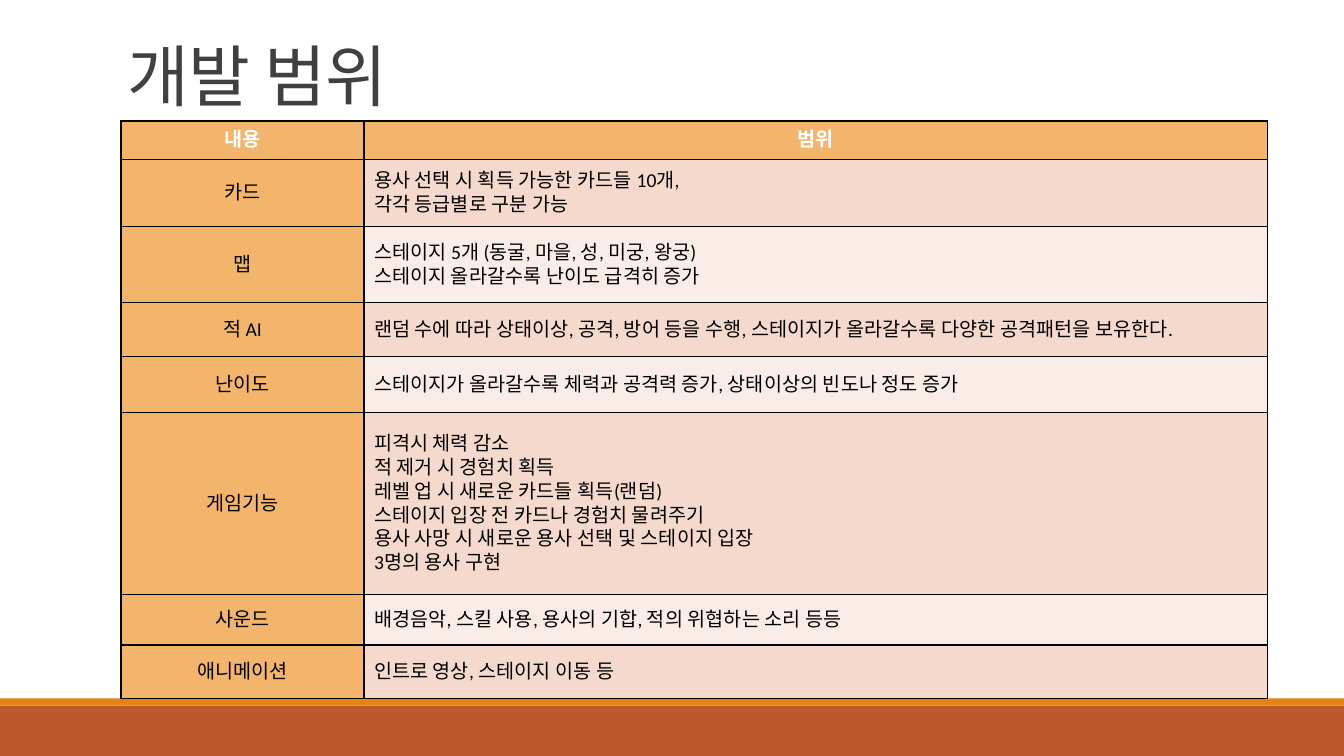
from dataclasses import dataclass

from lxml import etree
from pptx import Presentation
from pptx.dml.color import RGBColor
from pptx.enum.lang import MSO_LANGUAGE_ID
from pptx.enum.shapes import MSO_SHAPE
from pptx.enum.text import MSO_ANCHOR, PP_ALIGN
from pptx.oxml.ns import qn
from pptx.util import Inches, Pt

RECTANGLE = MSO_SHAPE.RECTANGLE
KOREAN = MSO_LANGUAGE_ID.KOREAN
TOP, MIDDLE = MSO_ANCHOR.TOP, MSO_ANCHOR.MIDDLE
LEFT, CENTER = PP_ALIGN.LEFT, PP_ALIGN.CENTER

HEADER = ("내용", "범위")
SCOPE = [
    ("카드", 0.67, ["용사 선택 시 획득 가능한 카드들 10개,", "각각 등급별로 구분 가능"]),
    ("맵", 0.75, ["스테이지 5개 (동굴, 마을, 성, 미궁, 왕궁)",
                 "스테이지 올라갈수록 난이도 급격히 증가"]),
    ("적 AI", 0.54, ["랜덤 수에 따라 상태이상, 공격, 방어 등을 수행, "
                    "스테이지가 올라갈수록 다양한 공격패턴을 보유한다."]),
    ("난이도", 0.55, ["스테이지가 올라갈수록 체력과 공격력 증가, 상태이상의 빈도나 정도 증가"]),
    ("게임기능", 1.81, ["피격시 체력 감소", "적 제거 시 경험치 획득",
                     "레벨 업 시 새로운 카드들 획득(랜덤)",
                     "스테이지 입장 전 카드나 경험치 물려주기",
                     "용사 사망 시 새로운 용사 선택 및 스테이지 입장",
                     "3명의 용사 구현"]),
    ("사운드", 0.5, ["배경음악, 스킬 사용, 용사의 기합, 적의 위협하는 소리 등등"]),
    ("애니메이션", 0.53, ["인트로 영상, 스테이지 이동 등"]),
]
HEADER_HEIGHT = 0.38
COLUMN_WIDTHS = (2.41, 8.96)


@dataclass(frozen=True)
class Theme:
    """Colours and type sizes of the slide."""
    font: str = "Calibri"
    title_size: int = 48
    body_size: int = 14
    title: str = "404040"
    text: str = "000000"
    header_text: str = "FFFFFF"
    border: str = "000000"
    label_fill: str = "F3B56C"
    row_fills: tuple = ("F5D9CC", "FAEDE7")
    footer: str = "BD582C"
    footer_edge: str = "E48312"


class SlideBuilder:
    """Draws styled elements on one slide."""

    def __init__(self, slide, theme):
        self.shapes = slide.shapes
        self.theme = theme

    def style(self, paragraph, size, color, bold=False, align=LEFT):
        """Set the font and alignment of a paragraph."""
        paragraph.alignment = align
        font = paragraph.font
        font.name, font.size, font.bold = self.theme.font, Pt(size), bold
        font.color.rgb = RGBColor.from_string(color)
        etree.SubElement(font._element, qn("a:ea"), typeface=self.theme.font)
        for run in paragraph.runs:
            run.font.language_id = KOREAN

    def band(self, top, height, color):
        """Draw a full-width colour band."""
        band = self.shapes.add_shape(
            RECTANGLE, 0, Inches(top), Inches(13.33), Inches(height))
        band.shadow.inherit = False
        band.fill.solid()
        band.fill.fore_color.rgb = RGBColor.from_string(color)
        band.line.fill.background()

    def title(self, wording):
        """Write the slide title."""
        frame = self.shapes.add_textbox(
            Inches(1.17), Inches(0.41), Inches(11), Inches(1.59)).text_frame
        frame.word_wrap = True
        frame.vertical_anchor = TOP
        heading = frame.paragraphs[0]
        heading.text = wording
        heading.line_spacing = 0.85
        self.style(heading, self.theme.title_size, self.theme.title)
        heading.runs[0].font._element.set("spc", "-50")

    def cell(self, cell, lines, fill, color, bold=False, align=LEFT):
        """Fill one table cell with lines of text and a border."""
        cell.text = "\n".join(lines)
        cell.vertical_anchor = MIDDLE
        for paragraph in cell.text_frame.paragraphs:
            self.style(paragraph, self.theme.body_size, color, bold, align)
        properties = cell._tc.get_or_add_tcPr()
        for side in ("lnL", "lnR", "lnT", "lnB"):
            edge = etree.SubElement(properties, qn(f"a:{side}"), w=str(Pt(1)))
            solid = etree.SubElement(edge, qn("a:solidFill"))
            etree.SubElement(solid, qn("a:srgbClr"), val=self.theme.border)
        cell.fill.solid()
        cell.fill.fore_color.rgb = RGBColor.from_string(fill)

    def scope_table(self, header, scope):
        """Draw the table of development items and their scope."""
        theme = self.theme
        heights = [HEADER_HEIGHT] + [height for _, height, _ in scope]
        table = self.shapes.add_table(
            len(heights), len(header), Inches(1.2), Inches(1.2),
            Inches(sum(COLUMN_WIDTHS)), Inches(sum(heights))).table
        for column, width in zip(table.columns, COLUMN_WIDTHS):
            column.width = Inches(width)
        for row, height in zip(table.rows, heights):
            row.height = Inches(height)
        for column, heading in enumerate(header):
            self.cell(table.cell(0, column), [heading], theme.label_fill,
                      theme.header_text, bold=True, align=CENTER)
        for index, (item, _, details) in enumerate(scope):
            self.cell(table.cell(index + 1, 0), [item], theme.label_fill,
                      theme.text, align=CENTER)
            self.cell(table.cell(index + 1, 1), details,
                      theme.row_fills[index % 2], theme.text)


def main():
    """Build and save the development scope slide."""
    presentation = Presentation()
    presentation.slide_width = Inches(13.33)
    presentation.slide_height = Inches(7.5)
    slide = presentation.slides.add_slide(presentation.slide_layouts[6])
    theme = Theme()
    builder = SlideBuilder(slide, theme)
    builder.band(7, 0.5, theme.footer)
    builder.band(6.93, 0.07, theme.footer_edge)
    builder.title("개발 범위")
    builder.scope_table(HEADER, SCOPE)
    presentation.save("out.pptx")


if __name__ == "__main__":
    main()
